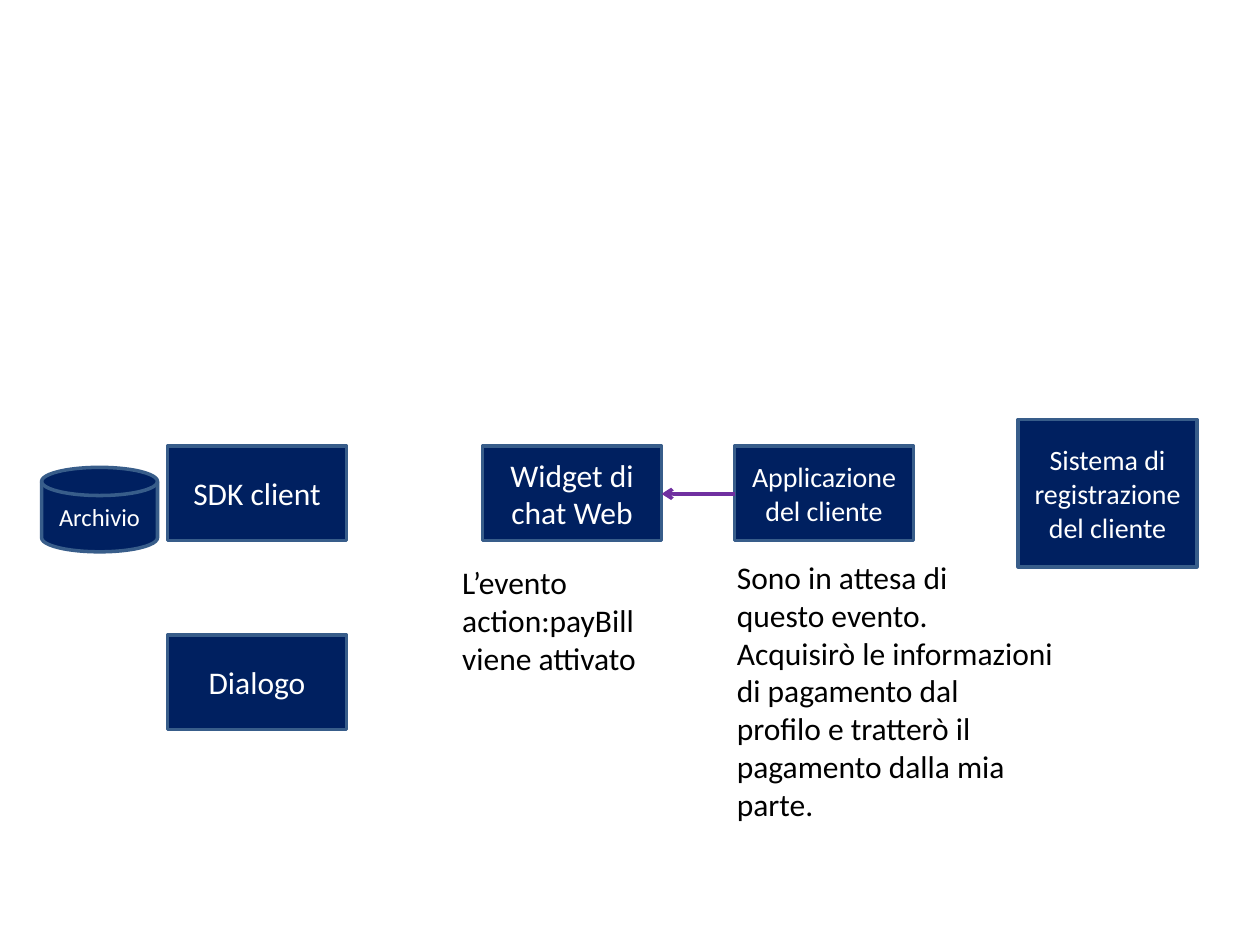
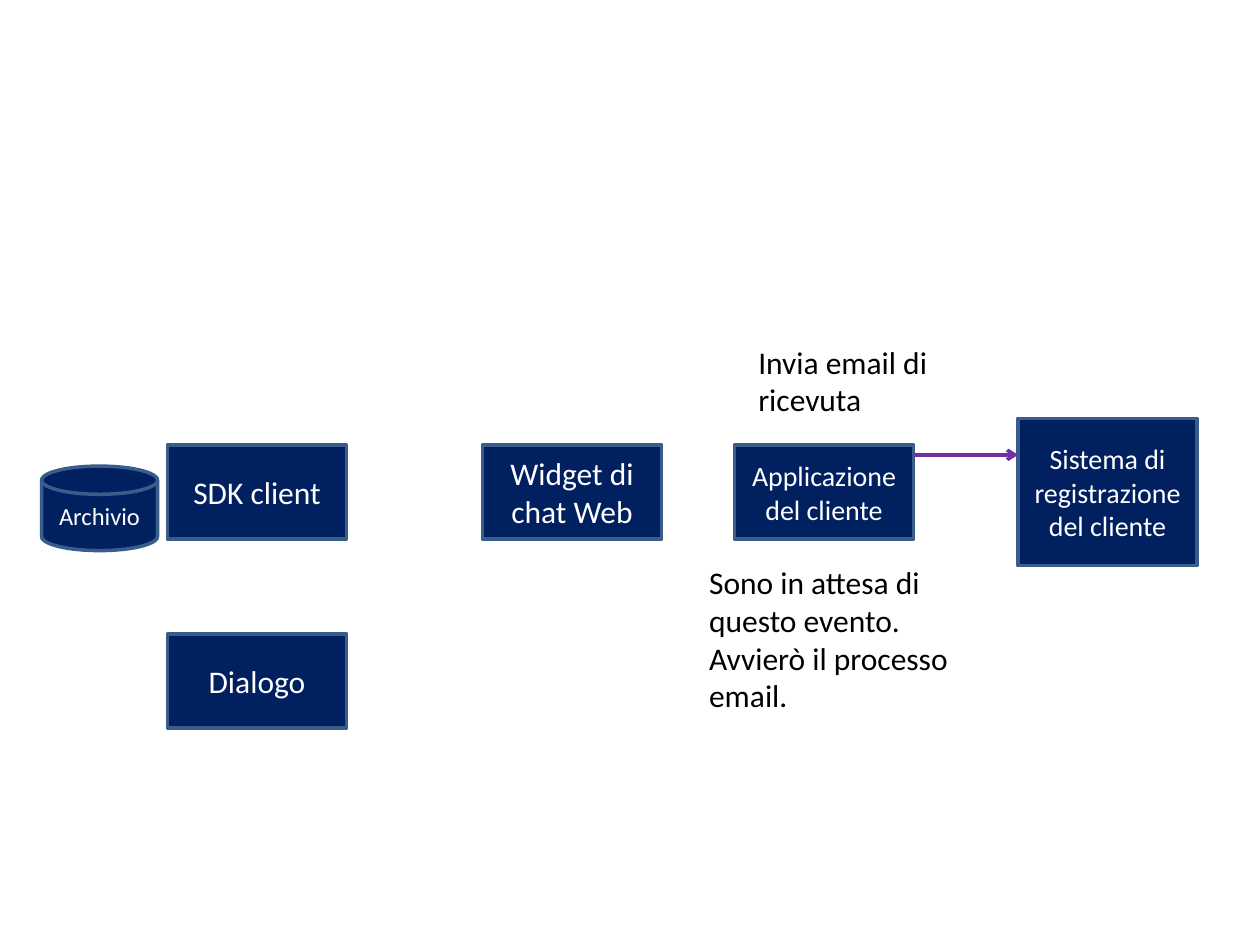
from lxml import etree
from pptx import Presentation
from pptx.dml.color import RGBColor
from pptx.enum import shapes, text
from pptx.oxml import ns
from pptx.util import Inches, Pt

# Shared style
COLORS = {"box": "002060", "border": "385D8A", "arrow": "7030A0",
          "light": "FFFFFF", "dark": "000000"}
FONT = "Calibri"
RECT = shapes.MSO_SHAPE.RECTANGLE
DISK = shapes.MSO_SHAPE.FLOWCHART_MAGNETIC_DISK

# Components on every slide: text, outline, left, top, width, height, text size
COMPONENTS = [
    ("Dialogo", RECT, 1.33, 5.04, 1.42, 0.75, 18),
    ("SDK client", RECT, 1.33, 3.54, 1.42, 0.75, 18),
    ("Applicazione del cliente", RECT, 5.83, 3.54, 1.42, 0.75, 16),
    ("Archivio", DISK, 0.33, 3.71, 0.92, 0.67, 14),
    ("Sistema di registrazione del cliente", RECT, 8.08, 3.33, 1.42, 1.17, 16),
    ("Widget di chat Web", RECT, 3.83, 3.54, 1.42, 0.75, 18),
]

# Per slide: vertical shift of the components, arrow (from x, to x, y),
# and notes (left, top, width, height, paragraphs)
SLIDES = [
    {"shift": 0, "arrow": (5.83, 5.25, 3.92), "notes": [
        (5.75, 4.38, 4.25, 2.2, [
            "Sono in attesa di", "questo evento.", "Acquisirò le informazioni",
            "di pagamento dal", "profilo e tratterò il",
            "pagamento dalla mia", "parte."]),
        (3.57, 4.42, 2.01, 1, ["L’evento action:payBill viene attivato"]),
    ]},
    {"shift": -0.01, "arrow": (7.25, 8.08, 3.61), "notes": [
        (5.92, 2.67, 2.17, 0.7, ["Invia email di ricevuta"]),
        (5.53, 4.42, 2.5, 1.3, [
            "Sono in attesa di questo evento. Avvierò il processo email."]),
    ]},
]


def color(name):
    return RGBColor.from_string(COLORS[name])


def write(frame, paragraphs, size, color_name, alignment):
    frame.word_wrap = True
    frame.text = "\n".join(paragraphs)
    for paragraph in frame.paragraphs:
        paragraph.alignment = alignment
        paragraph.font.name = FONT
        paragraph.font.size = Pt(size)
        paragraph.font.color.rgb = color(color_name)


def add_component(slide, shift, label, outline, left, top, width, height, size):
    shape = slide.shapes.add_shape(
        outline, Inches(left), Inches(top + shift), Inches(width), Inches(height))
    shape.shadow.inherit = False
    shape.fill.solid()
    shape.fill.fore_color.rgb = color("box")
    shape.line.color.rgb = color("border")
    shape.line.width = Pt(2)
    shape.text_frame.vertical_anchor = text.MSO_ANCHOR.MIDDLE
    write(shape.text_frame, [label], size, "light", text.PP_ALIGN.CENTER)


def add_note(slide, left, top, width, height, paragraphs):
    box = slide.shapes.add_textbox(
        Inches(left), Inches(top), Inches(width), Inches(height))
    write(box.text_frame, paragraphs, 18, "dark", text.PP_ALIGN.LEFT)
    box.text_frame.auto_size = text.MSO_AUTO_SIZE.SHAPE_TO_FIT_TEXT


def add_arrow(slide, start, end, y):
    arrow = slide.shapes.add_connector(
        shapes.MSO_CONNECTOR.STRAIGHT,
        Inches(start), Inches(y), Inches(end), Inches(y))
    arrow.line.color.rgb = color("arrow")
    arrow.line.width = Pt(2)
    properties = arrow._element.spPr
    line = properties.find(ns.qn("a:ln"))
    etree.SubElement(line, ns.qn("a:tailEnd")).set("type", "arrow")
    etree.SubElement(properties, ns.qn("a:effectLst"))


def main():
    presentation = Presentation()
    presentation.slide_width = Inches(10)
    presentation.slide_height = Inches(7.5)
    for content in SLIDES:
        slide = presentation.slides.add_slide(presentation.slide_layouts[6])
        for component in COMPONENTS:
            add_component(slide, content["shift"], *component)
        add_arrow(slide, *content["arrow"])
        for note in content["notes"]:
            add_note(slide, *note)
    presentation.save("out.pptx")


if __name__ == "__main__":
    main()
